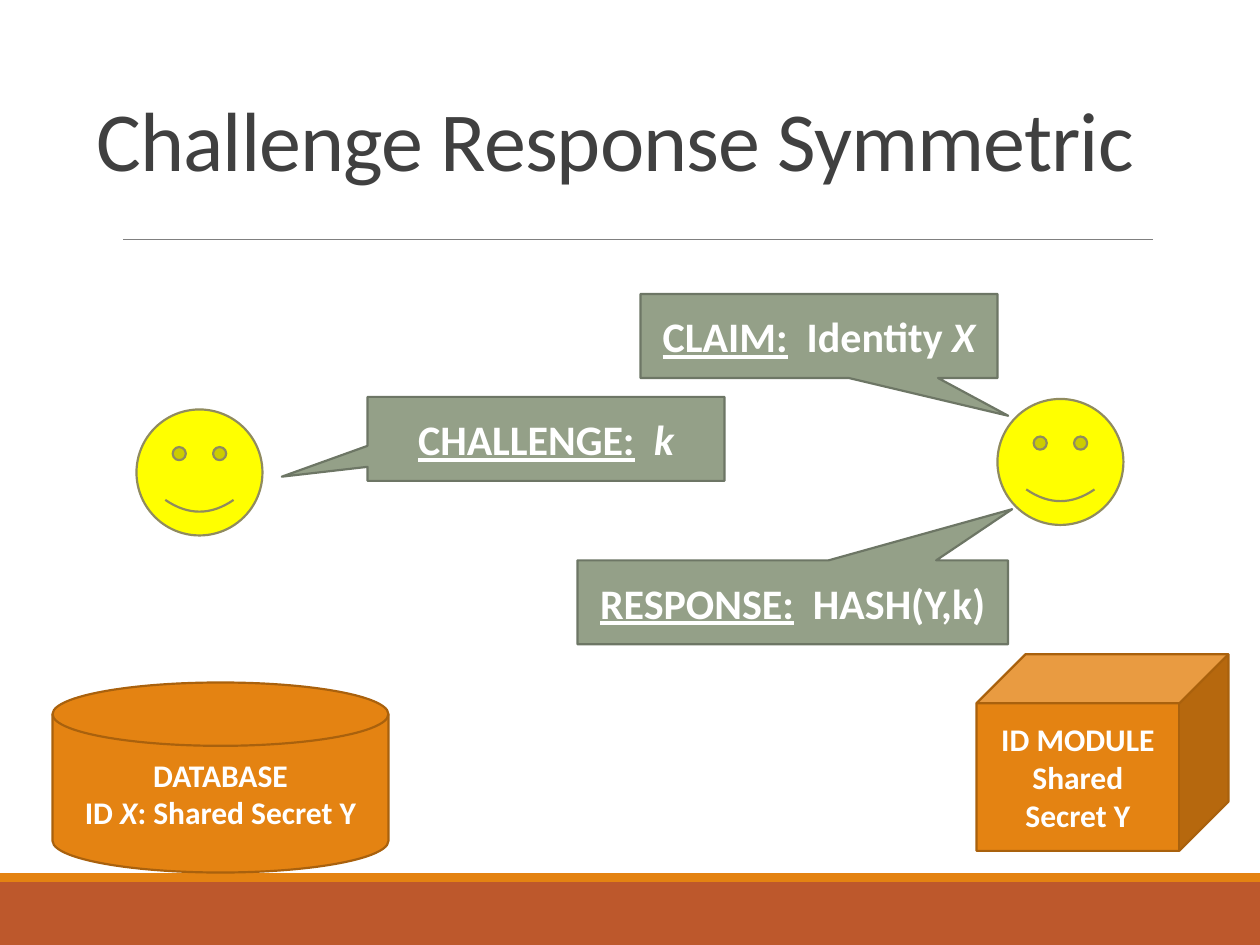
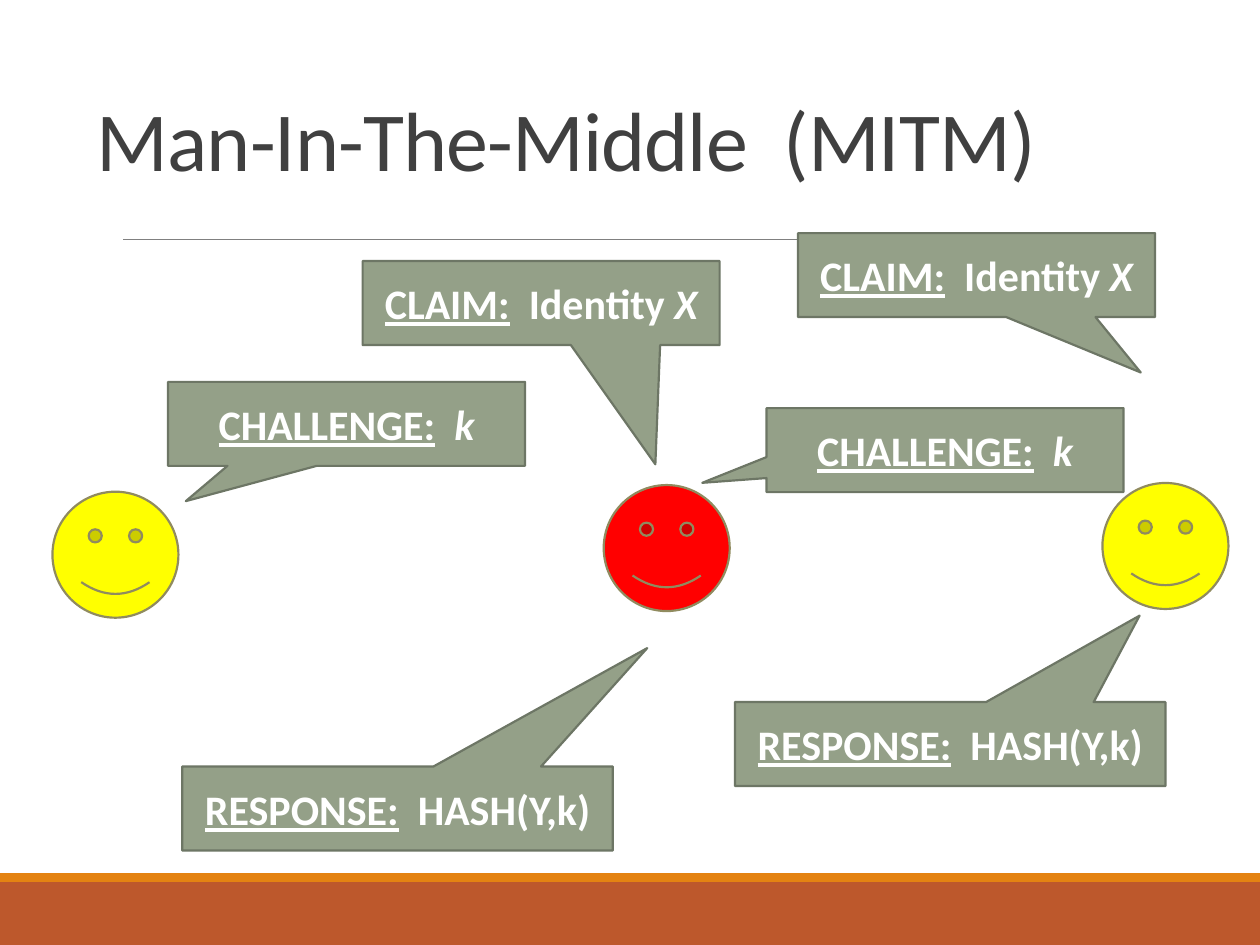
"""Builds two slides on challenge-response authentication and its man-in-the-middle attack."""
import pptx
import pptx.dml.color
import pptx.enum.shapes
import pptx.enum.text
import pptx.util
from lxml import etree

Pt = pptx.util.Pt
RGBColor = pptx.dml.color.RGBColor
SHAPE = pptx.enum.shapes.MSO_SHAPE
ALIGN = pptx.enum.text.PP_ALIGN
ANCHOR = pptx.enum.text.MSO_ANCHOR

WHITE = RGBColor(0xFF, 0xFF, 0xFF)
TITLE_GREY = RGBColor(0x40, 0x40, 0x40)
RULE_GREY = RGBColor(0x80, 0x80, 0x80)
RUST = RGBColor(0xBD, 0x58, 0x2C)
ORANGE = RGBColor(0xE4, 0x83, 0x12)
DARK_ORANGE = RGBColor(0xA9, 0x61, 0x0D)
SAGE = RGBColor(0x94, 0xA0, 0x88)
DARK_SAGE = RGBColor(0x6D, 0x76, 0x65)
YELLOW = RGBColor(0xFF, 0xFF, 0x00)
RED = RGBColor(0xFF, 0x00, 0x00)
OLIVE = RGBColor(0x90, 0x8B, 0x5F)

FONT = "Calibri"
SLIDE_WIDTH, SLIDE_HEIGHT = 720, 540
FACE_SIZE = 72
MESSAGE_HEIGHT = 48
CLAIM = [("CLAIM:", "u"), ("  Identity ", ""), ("X", "i")], 204
CHALLENGE = [("CHALLENGE:", "u"), ("  ", ""), ("k", "i")], 204
RESPONSE = [("RESPONSE:", "u"), ("  HASH(Y,k)", "")], 246


class Deck:
    def __init__(self):
        self.presentation = pptx.Presentation()
        self.presentation.slide_width = Pt(SLIDE_WIDTH)
        self.presentation.slide_height = Pt(SLIDE_HEIGHT)
        self.slide = None

    def start_slide(self, heading):
        self.slide = self.presentation.slides.add_slide(self.presentation.slide_layouts[5])
        self.shape(SHAPE.RECTANGLE, 0, 504, SLIDE_WIDTH, 36, RUST)
        self.shape(SHAPE.RECTANGLE, 0, 499, SLIDE_WIDTH, 5, ORANGE)
        self.rule(70.5, 659, 136.8)
        self.title(heading)

    def title(self, heading):
        title = self.slide.shapes.title
        title.left, title.top, title.width, title.height = Pt(48), Pt(21.6), Pt(624), Pt(90)
        frame = title.text_frame
        frame.text = heading
        frame.word_wrap = True
        frame.auto_size = pptx.enum.text.MSO_AUTO_SIZE.NONE
        frame.vertical_anchor = ANCHOR.BOTTOM
        paragraph = frame.paragraphs[0]
        paragraph.alignment = ALIGN.LEFT
        paragraph.line_spacing = 0.85
        run = paragraph.runs[0]
        run.font.name, run.font.size = FONT, Pt(48)
        run.font.color.rgb = TITLE_GREY
        run.font._element.set("spc", "-50")

    def rule(self, left, right, y):
        rule = self.slide.shapes.add_connector(
            pptx.enum.shapes.MSO_CONNECTOR.STRAIGHT, Pt(left), Pt(y), Pt(right), Pt(y))
        rule.line.color.rgb = RULE_GREY
        rule.line.width = Pt(0.5)
        etree.SubElement(rule._element.spPr, pptx.oxml.ns.qn("a:effectLst"))

    def shape(self, preset, left, top, width, height, fill, outline=None):
        shape = self.slide.shapes.add_shape(preset, Pt(left), Pt(top), Pt(width), Pt(height))
        shape.shadow.inherit = False
        shape.fill.solid()
        shape.fill.fore_color.rgb = fill
        if outline is None:
            shape.line.fill.background()
        else:
            shape.line.color.rgb = outline
            shape.line.width = Pt(1.25)
        return shape

    def label(self, shape, lines, size):
        frame = shape.text_frame
        frame.word_wrap = True
        frame.vertical_anchor = ANCHOR.MIDDLE
        for index, line in enumerate(lines):
            paragraph = frame.add_paragraph() if index else frame.paragraphs[0]
            paragraph.alignment = ALIGN.CENTER
            for text, style in line:
                run = paragraph.add_run()
                run.text = text
                run.font.name, run.font.size = FONT, Pt(size)
                run.font.bold = True
                run.font.underline = "u" in style
                run.font.italic = "i" in style
                run.font.color.rgb = WHITE

    def face(self, left, top, fill=YELLOW):
        self.shape(SHAPE.SMILEY_FACE, left, top, FACE_SIZE, FACE_SIZE, fill, OLIVE)

    def message(self, wording, left, top, tip_x, tip_y):
        line, width = wording
        callout = self.shape(SHAPE.RECTANGULAR_CALLOUT, left, top, width, MESSAGE_HEIGHT,
                             SAGE, DARK_SAGE)
        callout.adjustments[0], callout.adjustments[1] = tip_x, tip_y
        self.label(callout, [line], 24)

    def store(self, preset, left, top, width, height, lines):
        store = self.shape(preset, left, top, width, height, ORANGE, DARK_ORANGE)
        self.label(store, lines, 18)


def main():
    deck = Deck()

    deck.start_slide("Challenge Response Symmetric")
    deck.face(570, 228)
    deck.face(78, 234)
    deck.message(CLAIM, 366, 168, 0.53, 0.95)
    deck.message(CHALLENGE, 210, 226.8, -0.74, 0.45)
    deck.message(RESPONSE, 330, 320.2, 0.51, -1.11)
    deck.store(SHAPE.FLOWCHART_MAGNETIC_DISK, 30, 390, 192, 108.6,
               [[("DATABASE", "")], [("ID ", ""), ("X", "i"), (": Shared Secret Y", "")]])
    deck.store(SHAPE.CUBE, 558, 373.8, 144, 112.4,
               [[("ID MODULE", "")], [("Shared Secret Y", "")]])

    deck.start_slide("Man-In-The-Middle  (MITM)")
    deck.face(630, 276)
    deck.face(30, 281)
    deck.message(CLAIM, 456, 133.2, 0.46, 1.16)
    deck.message(CHALLENGE, 96, 218.2, -0.45, 0.92)
    deck.message(RESPONSE, 420, 401.2, 0.44, -1.53)
    deck.face(345, 277.2, RED)
    deck.message(CHALLENGE, 438, 233.2, -0.68, 0.39)
    deck.message(CLAIM, 207.2, 149.2, 0.32, 1.92)
    deck.message(RESPONSE, 104.2, 438, 0.58, -1.91)

    deck.presentation.save("out.pptx")


if __name__ == "__main__":
    main()
